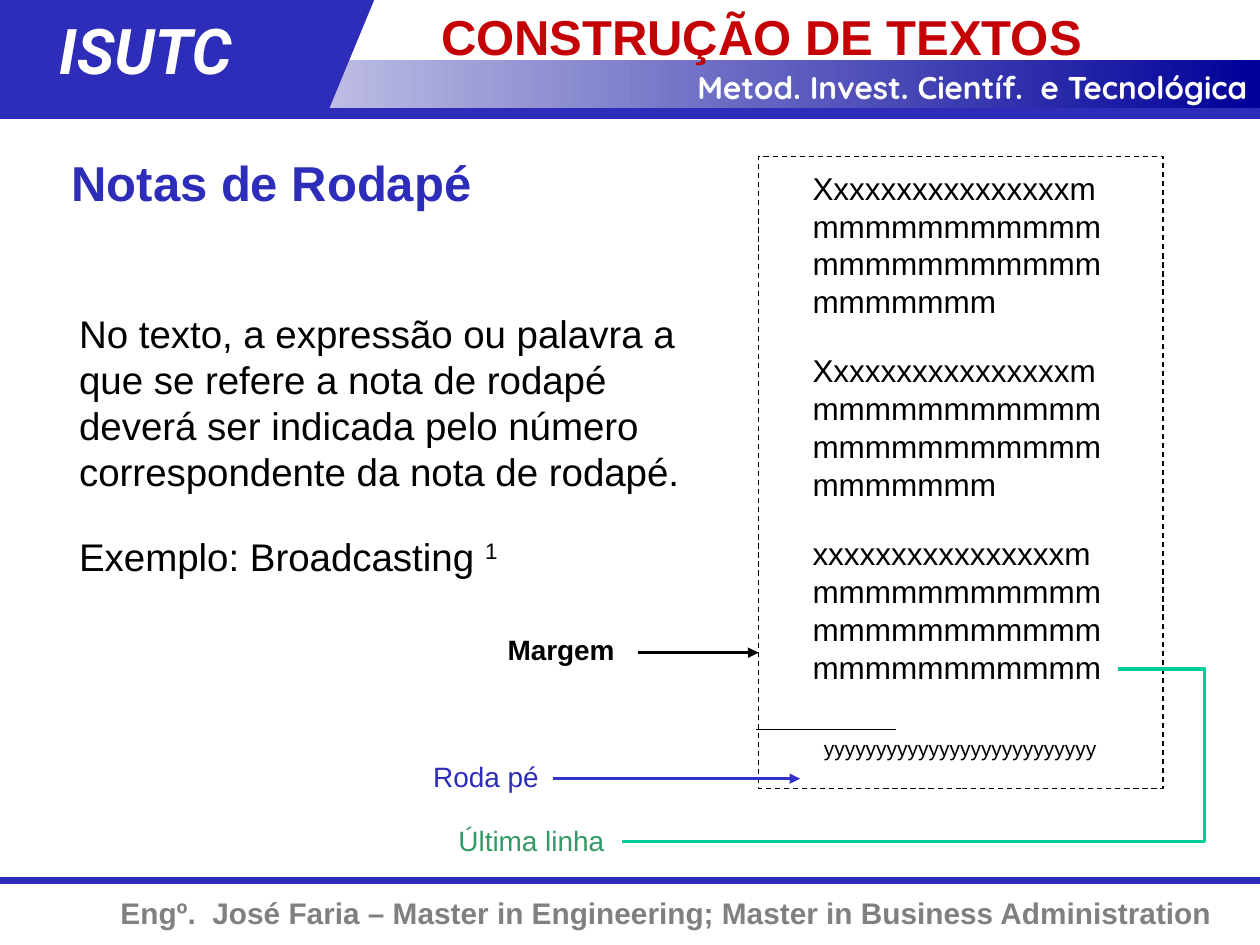
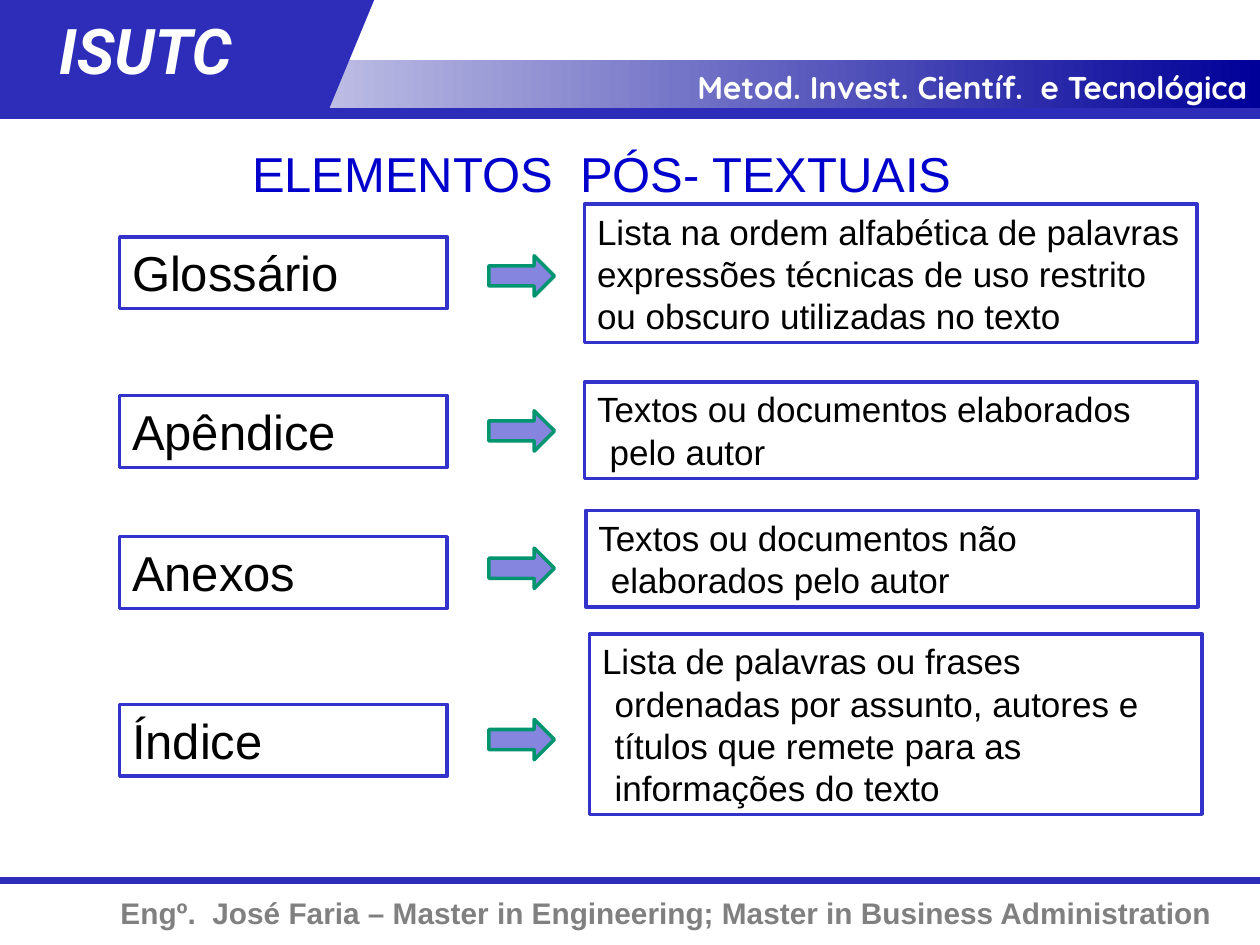
from dataclasses import dataclass

from lxml.etree import SubElement
from pptx import Presentation
from pptx.dml.color import RGBColor
from pptx.enum.dml import MSO_LINE
from pptx.enum.shapes import MSO_CONNECTOR, MSO_SHAPE
from pptx.enum.text import MSO_ANCHOR, MSO_AUTO_SIZE, PP_ALIGN
from pptx.oxml.ns import qn
from pptx.util import Inches, Pt


@dataclass(frozen=True)
class Theme:
    brand: str = "2D2DB9"
    navy: str = "000099"
    heading_blue: str = "0000CC"
    outline: str = "3333CC"
    red: str = "C40005"
    teal: str = "00CC99"
    green: str = "339966"
    arrow_fill: str = "8585E0"
    arrow_line: str = "00956F"
    gray: str = "808080"
    black: str = "000000"
    white: str = "FFFFFF"

    font: str = "Arial"
    band_font: str = "Quicksand"
    mark_font: str = "Roboto"

    mark_size: int = 36
    title_size: int = 28
    body_size: int = 22
    definition_size: int = 20
    sample_size: int = 18
    footer_size: int = 17
    label_size: int = 16
    note_size: int = 12
    line_factor: float = 1.2


def rgb(color):
    return RGBColor.from_string(color)


def apply(target, values):
    for name, value in values.items():
        setattr(target, name, value)


class Deck:
    def __init__(self, theme):
        self.theme = theme
        self.presentation = Presentation()
        apply(self.presentation, {"slide_width": Inches(10), "slide_height": Inches(7.5)})
        self.layout = self.presentation.slide_layouts[5]
        self.slide = None

    def new_slide(self, title, box, color, bold=False):
        self.slide = self.presentation.slides.add_slide(self.layout)
        shape = self.slide.shapes.title
        apply(shape, dict(zip(("left", "top", "width", "height"), map(Inches, box))))
        self.fill_text(shape, [title], self.theme.title_size, color, bold=bold)

    def fill_text(self, shape, paragraphs, size, color=None, font=None, bold=False,
                  italic=False, align=PP_ALIGN.LEFT, wrap=True, hanging=0):
        """Fill a shape with paragraphs; a trailing "^" part becomes superscript."""
        frame = shape.text_frame
        apply(frame, {
            "word_wrap": wrap,
            "auto_size": MSO_AUTO_SIZE.NONE,
            "vertical_anchor": MSO_ANCHOR.TOP,
            "margin_left": Inches(0.1),
            "margin_right": Inches(0.1),
            "margin_top": Inches(0.05),
            "margin_bottom": Inches(0.05),
        })
        for index, text in enumerate(paragraphs):
            paragraph = frame.add_paragraph() if index else frame.paragraphs[0]
            apply(paragraph, {
                "alignment": align,
                "line_spacing": Pt(size * self.theme.line_factor),
                "space_before": Pt(size if index else 0),
                "space_after": Pt(0),
            })
            if hanging:
                properties = paragraph._p.get_or_add_pPr()
                properties.set("marL", str(Inches(hanging)))
                properties.set("indent", str(-Inches(hanging)))
            for part, content in enumerate(text.split("^")):
                run = paragraph.add_run()
                run.text = content
                apply(run.font, {"name": font or self.theme.font, "size": Pt(size),
                                 "bold": bold, "italic": italic})
                run.font.color.rgb = rgb(color or self.theme.black)
                if part:
                    run._r.get_or_add_rPr().set("baseline", "30000")

    def text(self, box, paragraphs, size, color=None, **style):
        shape = self.slide.shapes.add_textbox(*map(Inches, box))
        self.fill_text(shape, paragraphs, size, color, **style)

    def shape(self, kind, box, fill=None, line=None, width=2, dash=None):
        shape = self.slide.shapes.add_shape(kind, *map(Inches, box))
        shape.shadow.inherit = False
        if fill:
            shape.fill.solid()
            shape.fill.fore_color.rgb = rgb(fill)
        else:
            shape.fill.background()
        if line:
            shape.line.color.rgb = rgb(line)
            apply(shape.line, {"width": Pt(width), "dash_style": dash})
        else:
            shape.line.fill.background()
        return shape

    def text_box(self, box, text, size, hanging=0):
        shape = self.shape(MSO_SHAPE.RECTANGLE, box, self.theme.white, self.theme.outline)
        self.fill_text(shape, [text], size, hanging=hanging)

    def gradient_band(self, box, start, end):
        band = self.shape(MSO_SHAPE.RECTANGLE, box)
        band.fill.gradient()
        band.fill.gradient_angle = 0
        for stop, position, color in zip(band.fill.gradient_stops, (0, 1), (start, end)):
            stop.position = position
            stop.color.rgb = rgb(color)

    def line(self, start, end, color, width, arrow=False, bend=None):
        kind = MSO_CONNECTOR.STRAIGHT if bend is None else MSO_CONNECTOR.ELBOW
        connector = self.slide.shapes.add_connector(kind, *map(Inches, start + end))
        connector.line.color.rgb = rgb(color)
        connector.line.width = Pt(width)
        properties = connector._element.spPr
        if arrow:
            SubElement(connector.line._get_or_add_ln(), qn("a:tailEnd"), type="triangle")
        if bend is not None:
            guides = properties.find(qn("a:prstGeom")).get_or_add_avLst()
            SubElement(guides, qn("a:gd"), name="adj1", fmla=f"val {round(bend * 100000)}")
        SubElement(properties, qn("a:effectLst"))

    def build_frame(self):
        """Draw the header and footer and move them to the shared layout."""
        theme = self.theme
        for placeholder in list(self.layout.placeholders):
            if placeholder.placeholder_format.idx:
                self.layout.shapes.element.remove(placeholder.element)
        self.line((0, 6.99), (10, 6.99), theme.brand, 4)
        self.text((0, 7.05, 9.72, 0.39),
                  ["Engº.  José Faria – Master in Engineering; Master in Business Administration"],
                  theme.footer_size, theme.gray, bold=True, align=PP_ALIGN.RIGHT)
        self.gradient_band((0, 0.48, 10, 0.39), theme.white, theme.navy)
        self.shape(MSO_SHAPE.FLOWCHART_DATA, (1.17, 0, 1.8, 0.87), theme.brand)
        self.shape(MSO_SHAPE.RECTANGLE, (0, 0, 1.59, 0.87), theme.brand)
        self.text((4.36, 0.49, 5.64, 0.4), ["Metod. Invest. Científ.  e Tecnológica"],
                  theme.sample_size, theme.white, font=theme.band_font,
                  bold=True, align=PP_ALIGN.RIGHT)
        self.text((0.37, 0.04, 1.93, 0.7), ["ISUTC"], theme.mark_size, theme.white,
                  font=theme.mark_font, bold=True, italic=True)
        self.line((0, 0.9), (10, 0.9), theme.brand, 6)
        for shape in list(self.slide.shapes):
            if not shape.is_placeholder:
                self.layout.shapes.element.append(shape.element)


def build_footnotes(deck):
    theme = deck.theme
    deck.new_slide("CONSTRUÇÃO DE TEXTOS", (3.4, 0, 6.6, 0.48), theme.red, bold=True)
    deck.build_frame()
    deck.text((0.47, 1.16, 3.37, 0.57), ["Notas de Rodapé"], theme.title_size,
              theme.brand, bold=True, wrap=False)
    deck.text((0.53, 2.41, 5.23, 2.24), [
        "No texto, a expressão ou palavra a que se refere a nota de rodapé "
        "deverá ser indicada pelo número correspondente da nota de rodapé.",
        "Exemplo: Broadcasting ^1",
    ], theme.body_size)

    sample = "x" * 15 + "m" * 30
    deck.text((6.35, 1.29, 2.52, 4.2),
              ["X" + sample, "X" + sample, "x" + sample + "m" * 4], theme.sample_size)
    deck.shape(MSO_SHAPE.RECTANGLE, (6.02, 1.24, 3.21, 5.02),
               line=theme.black, width=0.75, dash=MSO_LINE.DASH)
    deck.line((6, 5.79), (7.11, 5.79), theme.black, 0.75)
    deck.text((6.44, 5.79, 2.39, 0.3), ["y" * 26], theme.note_size)

    for label, box, color, bold in (
        ("Margem", (3.93, 4.97, 1.26, 0.37), theme.black, True),
        ("Roda pé", (3.34, 5.98, 1.26, 0.37), theme.brand, False),
        ("Última linha", (3.54, 6.49, 1.61, 0.37), theme.green, False),
    ):
        deck.text(box, [label], theme.label_size, color, bold=bold)
    deck.line((5.06, 5.18), (6.02, 5.18), theme.black, 2, arrow=True)
    deck.line((4.39, 6.18), (6.35, 6.18), theme.outline, 2, arrow=True)
    last_line, label_end, bend_x = (8.87, 5.31), (4.94, 6.68), 9.56
    bend = (bend_x - last_line[0]) / (label_end[0] - last_line[0])
    deck.line(last_line, label_end, theme.teal, 2, bend=bend)


def build_post_textual(deck):
    theme = deck.theme
    deck.new_slide("ELEMENTOS  PÓS- TEXTUAIS", (1.9, 1.09, 5.98, 0.57), theme.heading_blue)
    line_height = theme.definition_size * theme.line_factor / 72
    # term, term top, arrow top, definition, its left, top, lines and hanging indent
    rows = (
        ("Glossário", 1.88, 2.03,
         "Lista na ordem alfabética de palavras expressões técnicas de uso restrito "
         "ou obscuro utilizadas no texto", 4.64, 1.62, 3, 0),
        ("Apêndice", 3.14, 3.26,
         "Textos ou documentos elaborados pelo autor", 4.64, 3.03, 2, 0.1),
        ("Anexos", 4.26, 4.35,
         "Textos ou documentos não elaborados pelo autor", 4.65, 4.05, 2, 0.1),
        ("Índice", 5.59, 5.71,
         "Lista de palavras ou frases ordenadas por assunto, autores e títulos "
         "que remete para as informações do texto", 4.68, 5.03, 4, 0.1),
    )
    for term, term_top, arrow_top, definition, left, top, lines, hanging in rows:
        deck.text_box((0.95, term_top, 2.6, 0.57), term, theme.title_size)
        deck.shape(MSO_SHAPE.RIGHT_ARROW, (3.88, arrow_top, 0.52, 0.32),
                   theme.arrow_fill, theme.arrow_line)
        deck.text_box((left, top, 4.86, 0.1 + lines * line_height), definition,
                      theme.definition_size, hanging)


def main():
    deck = Deck(Theme())
    build_footnotes(deck)
    build_post_textual(deck)
    deck.presentation.save("out.pptx")


if __name__ == "__main__":
    main()
